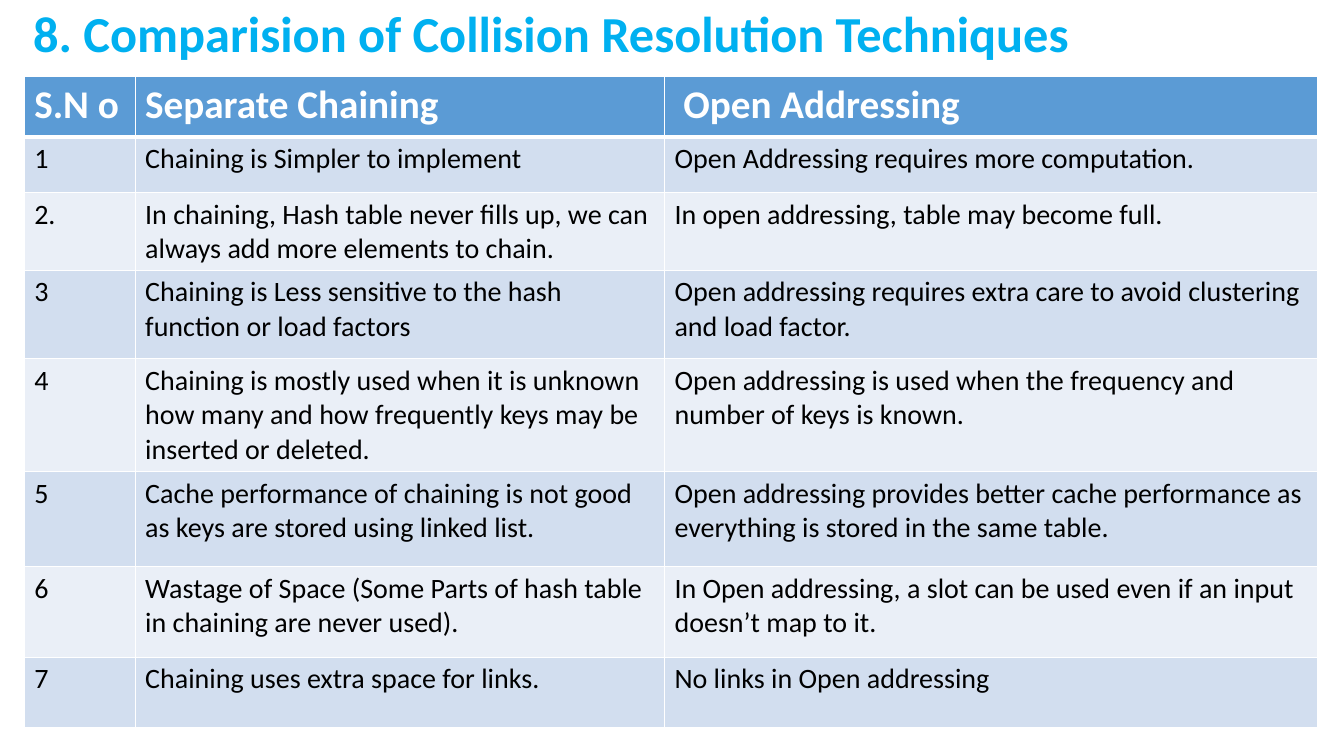
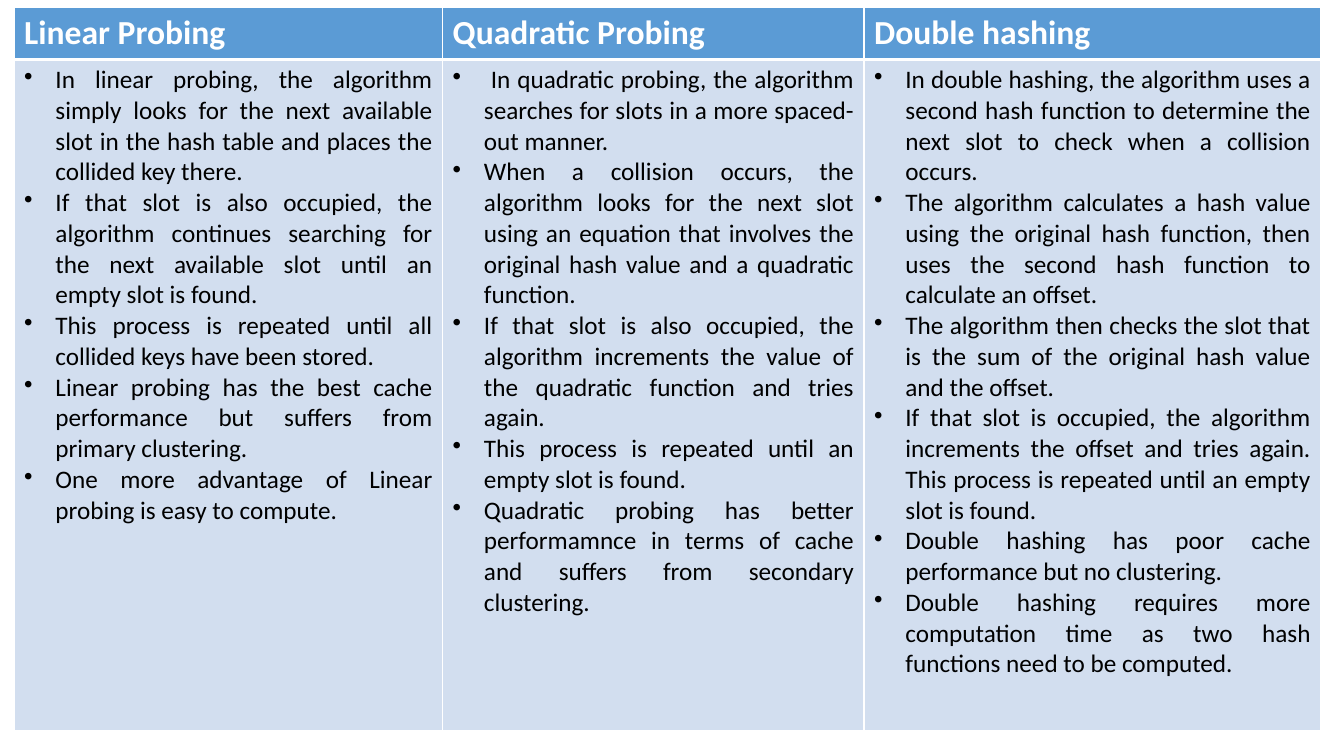
from dataclasses import dataclass

from lxml import etree
from pptx import Presentation
from pptx.dml.color import RGBColor
from pptx.enum.text import MSO_ANCHOR, PP_ALIGN
from pptx.oxml.ns import qn
from pptx.util import Emu, Pt

MIDDLE = MSO_ANCHOR.MIDDLE
LEFT, JUSTIFY = PP_ALIGN.LEFT, PP_ALIGN.JUSTIFY

SCALE = 9144  # EMU in one px, 100 px to the inch
FONT = "Calibri"
SKY = RGBColor(0x00, 0xB0, 0xF0)
BLUE = RGBColor(0x5B, 0x9B, 0xD5)
BANDS = (RGBColor(0xD2, 0xDE, 0xEF), RGBColor(0xEA, 0xEF, 0xF7))
WHITE = RGBColor(0xFF, 0xFF, 0xFF)
BLACK = RGBColor(0x00, 0x00, 0x00)
THIN, THICK = Pt(1), Pt(3)
INDENT = 31


@dataclass(frozen=True)
class Style:
    size: int
    color: RGBColor
    bold: bool = False
    bullet: bool = False


@dataclass(frozen=True)
class Grid:
    left: int
    top: int
    cols: tuple[int, ...]
    rows: tuple[int, ...]
    head: Style
    body: Style
    cells: tuple[tuple[str, ...], ...]


TITLE = Style(36, SKY, bold=True)

# Each line within a cell is a paragraph of its own
CHAINING = Grid(
    24, 76, (110, 525, 648), (60, 55, 77, 88, 112, 94, 90, 70),
    Style(28, WHITE, bold=True), Style(20, BLACK),
    (
        ("S.N o", "Separate Chaining", " Open Addressing"),
        ("1", "Chaining is Simpler to implement",
         "Open Addressing requires more computation."),
        ("2.", "In chaining, Hash table never fills up, we can always add "
         "more elements to chain.",
         "In open addressing, table may become full."),
        ("3", "Chaining is Less sensitive to the hash function or load factors",
         "Open addressing requires extra care to avoid clustering and load "
         "factor."),
        ("4", "Chaining is mostly used when it is unknown how many and how "
         "frequently keys may be inserted or deleted.",
         "Open addressing is used when the frequency and number of keys is "
         "known."),
        ("5", "Cache performance of chaining is not good as keys are stored "
         "using linked list.",
         "Open addressing provides better cache performance as everything is "
         "stored in the same table."),
        ("6", "Wastage of Space (Some Parts of hash table in chaining are "
         "never used).",
         "In Open addressing, a slot can be used even if an input doesn’t map "
         "to it."),
        ("7", "Chaining uses extra space for links.",
         "No links in Open addressing"),
    ),
)

LINEAR = (
    "In linear probing, the algorithm simply looks for the next available "
    "slot in the hash table and places the collided key there.",
    "If that slot is also occupied, the algorithm continues searching for "
    "the next available slot until an empty slot is found.",
    "This process is repeated until all collided keys have been stored.",
    "Linear probing has the best cache performance but suffers from primary "
    "clustering.",
    "One more advantage of Linear probing is easy to compute.",
)
SQUARE = (
    " In quadratic probing, the algorithm searches for slots in a more "
    "spaced-out manner.",
    "When a collision occurs, the algorithm looks for the next slot using an "
    "equation that involves the original hash value and a quadratic function.",
    "If that slot is also occupied, the algorithm increments the value of "
    "the quadratic function and tries again.",
    "This process is repeated until an empty slot is found.",
    "Quadratic probing has better performamnce in terms of cache and suffers "
    "from secondary clustering.",
)
DOUBLE = (
    "In double hashing, the algorithm uses a second hash function to "
    "determine the next slot to check when a collision occurs.",
    "The algorithm calculates a hash value using the original hash function, "
    "then uses the second hash function to calculate an offset.",
    "The algorithm then checks the slot that is the sum of the original hash "
    "value and the offset.",
    "If that slot is occupied, the algorithm increments the offset and tries "
    "again. This process is repeated until an empty slot is found.",
    "Double hashing has poor cache performance but no clustering.",
    "Double hashing requires more computation time as two hash functions "
    "need to be computed.",
)
PROBING = Grid(
    14, 7, (425, 418, 453), (52, 666),
    Style(24, WHITE, bold=True), Style(18, BLACK, bullet=True),
    (
        ("Linear Probing", "Quadratic Probing", "Double hashing"),
        tuple("\n".join(points) for points in (LINEAR, SQUARE, DOUBLE)),
    ),
)


def px(length: int) -> Emu:
    return Emu(length * SCALE)


def write(frame, text: str, style: Style) -> None:
    """Fill a text frame and format its paragraphs and runs."""
    frame.text = text
    for para in frame.paragraphs:
        para.alignment = JUSTIFY if style.bullet else LEFT
        if style.bullet:
            props = para._p.get_or_add_pPr()
            props.set("marL", str(px(INDENT)))
            props.set("indent", str(px(-INDENT)))
            etree.SubElement(props, qn("a:buChar")).set("char", "•")
        for run in para.runs:
            font = run.font
            font.name, font.size, font.bold = FONT, Pt(style.size), style.bold
            font.color.rgb = style.color


def border(cell, top: int, bottom: int) -> None:
    """Give a cell white edges; the sides are always thin."""
    props = cell._tc.get_or_add_tcPr()
    edges = {"a:lnL": THIN, "a:lnR": THIN, "a:lnT": top, "a:lnB": bottom}
    for tag, width in edges.items():
        line = etree.SubElement(props, qn(tag))
        line.set("w", str(width))
        fill = etree.SubElement(line, qn("a:solidFill"))
        etree.SubElement(fill, qn("a:srgbClr")).set("val", str(WHITE))


def draw_title(slide, text: str) -> None:
    box = slide.shapes.add_textbox(px(23), px(14), px(1150), px(44))
    frame = box.text_frame
    frame.word_wrap = True
    frame.vertical_anchor = MIDDLE
    write(frame, text, TITLE)
    frame.paragraphs[0].line_spacing = 0.9


def draw_grid(slide, grid: Grid) -> None:
    table = slide.shapes.add_table(
        len(grid.rows), len(grid.cols), px(grid.left), px(grid.top),
        px(sum(grid.cols)), px(sum(grid.rows))).table
    for col, width in zip(table.columns, grid.cols):
        col.width = px(width)
    for row, height in zip(table.rows, grid.rows):
        row.height = px(height)
    for i, texts in enumerate(grid.cells):
        for j, text in enumerate(texts):
            cell = table.cell(i, j)
            write(cell.text_frame, text, grid.body if i else grid.head)
            # The rule below the header is the only thick one
            border(cell, THICK if i == 1 else THIN, THIN if i else THICK)
            cell.fill.solid()
            cell.fill.fore_color.rgb = BANDS[(i - 1) % 2] if i else BLUE


def main() -> None:
    deck = Presentation()
    deck.slide_width, deck.slide_height = px(1333), px(750)
    blank = deck.slide_layouts[6]

    # Chaining against open addressing
    slide = deck.slides.add_slide(blank)
    draw_title(slide, "8. Comparision of Collision Resolution Techniques")
    draw_grid(slide, CHAINING)

    # Three ways of probing
    draw_grid(deck.slides.add_slide(blank), PROBING)

    deck.save("out.pptx")


if __name__ == "__main__":
    main()
